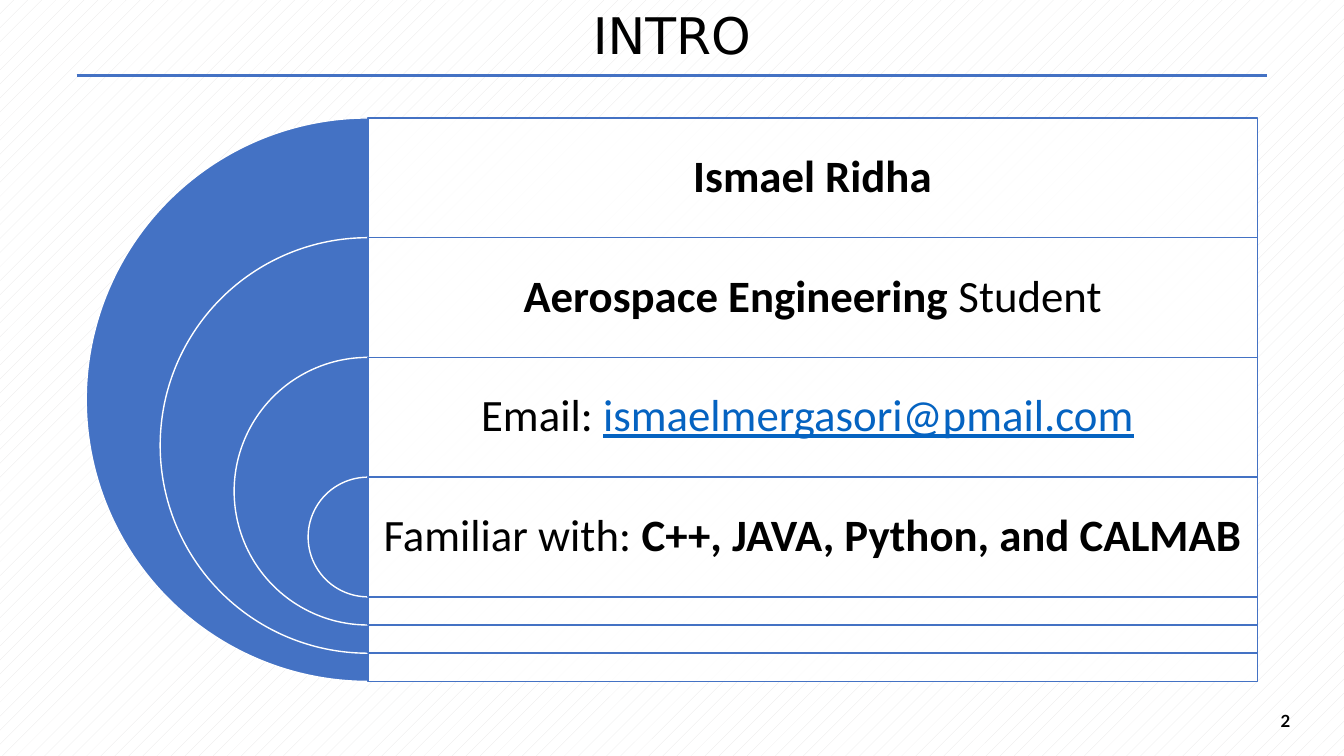
from lxml import etree
from pptx import Presentation
from pptx.dml.color import RGBColor
from pptx.enum.dml import MSO_PATTERN
from pptx.enum.shapes import MSO_CONNECTOR, MSO_SHAPE
from pptx.enum.text import MSO_ANCHOR, PP_ALIGN
from pptx.oxml.ns import qn
from pptx.util import Inches, Pt

DOTS = MSO_PATTERN.PERCENT_5
STRAIGHT = MSO_CONNECTOR.STRAIGHT
PIE, RECT = MSO_SHAPE.PIE, MSO_SHAPE.RECTANGLE
MIDDLE, CENTER = MSO_ANCHOR.MIDDLE, PP_ALIGN.CENTER

WIDE, HIGH = 13.33, 7.5
BLUE, WHITE, BLACK, LINK, GREY = "4472C4", "FFFFFF", "000000", "0563C1", "E7E6E6"
AXIS, TOP, SIZE, SPAN = 3.65, 1.17, 5.59, 8.82  # pie centre, top, largest pie, panel width
ROW, STEP = SIZE * 0.2125, SIZE * 0.2625        # row height, change in diameter

# Each row is a list of runs: text, bold, colour, underline
ROWS = [
    [("Ismael Ridha", True, BLACK, False)],
    [("Aerospace Engineering ", True, BLACK, False), ("Student", False, BLACK, False)],
    [("Email: ", False, BLACK, False),
     ("ismaelmergasori@pmail.com", False, LINK, True),
     (" ", False, BLACK, False)],
    [("Familiar with: ", False, BLACK, False),
     ("C++, JAVA, Python, and CALMAB", True, BLACK, False)],
]


def color(code):
    """Turn a hex string into a colour."""
    return RGBColor.from_string(code)


def place(shape, *box):
    """Set left, top, width and height in inches."""
    shape.left, shape.top, shape.width, shape.height = map(Inches, box)


def write(frame, runs, font, size, pad=None, lead=None):
    """Fill a text frame with one centred paragraph of runs."""
    frame.word_wrap = True
    frame.vertical_anchor = MIDDLE
    if pad is not None:
        frame.margin_left = frame.margin_right = Inches(pad)
        frame.margin_top = frame.margin_bottom = Inches(pad)
    para = frame.paragraphs[0]
    para.alignment = CENTER
    if lead:
        para.line_spacing = lead
    for text, bold, code, under in runs:
        run = para.add_run()
        run.text = text
        run.font.name, run.font.size = font, Pt(size)
        run.font.bold, run.font.underline = bold, under
        run.font.color.rgb = color(code)


def add_text(slide, box, *args, **more):
    """Add a text box."""
    frame = slide.shapes.add_textbox(*map(Inches, box)).text_frame
    write(frame, *args, **more)


def add_form(slide, kind, box, fill, edge, alpha=None):
    """Add a filled and outlined preset shape."""
    shape = slide.shapes.add_shape(kind, *map(Inches, box))
    shape.shadow.inherit = False
    shape.fill.solid()
    shape.fill.fore_color.rgb = color(fill)
    shape.line.color.rgb = color(edge)
    shape.line.width = Pt(1)
    if alpha:
        tone = shape._element.spPr.find(qn("a:solidFill"))[0]
        etree.SubElement(tone, qn("a:alpha")).set("val", str(alpha * 1000))
    return shape


def add_rule(slide, left, right, top):
    """Add the line below the title."""
    rule = slide.shapes.add_connector(
        STRAIGHT, Inches(left), Inches(top), Inches(right), Inches(top))
    rule.line.color.rgb = color(BLUE)
    rule.line.width = Pt(2.25)
    etree.SubElement(rule._element.spPr, qn("a:effectLst"))


def add_row(slide, rank, runs):
    """Add one half disc with its panel and text."""
    top, size = TOP + rank * ROW, SIZE - rank * STEP
    disc = add_form(slide, PIE, (AXIS - size / 2, top, size, size), BLUE, WHITE)
    disc.adjustments[0], disc.adjustments[1] = 54, 162
    add_form(slide, RECT, (AXIS, top, SPAN, size), WHITE, BLUE, alpha=90)
    add_text(slide, (AXIS, top, SPAN, ROW), runs, "Calibri", 32, pad=0.13, lead=0.9)


def main():
    """Build and save the slide."""
    deck = Presentation()
    deck.slide_width, deck.slide_height = Inches(WIDE), Inches(HIGH)
    slide = deck.slides.add_slide(deck.slide_layouts[5])
    back = slide.background.fill
    back.patterned()
    back.pattern = DOTS
    back.fore_color.rgb, back.back_color.rgb = color(GREY), color(WHITE)

    add_rule(slide, 0.76, 12.57, HIGH / 10)
    title = slide.shapes.title
    place(title, 0.86, 0, 11.61, HIGH / 10)
    write(title.text_frame, [("INTRO", False, BLACK, False)], "DejaVu Sans", 36, lead=0.9)
    for rank, runs in enumerate(ROWS):
        add_row(slide, rank, runs)
    add_text(slide, (12.47, 6.95, 0.56, 0.4), [("2", True, BLACK, False)], "Lato", 12)
    deck.save("out.pptx")


main()
